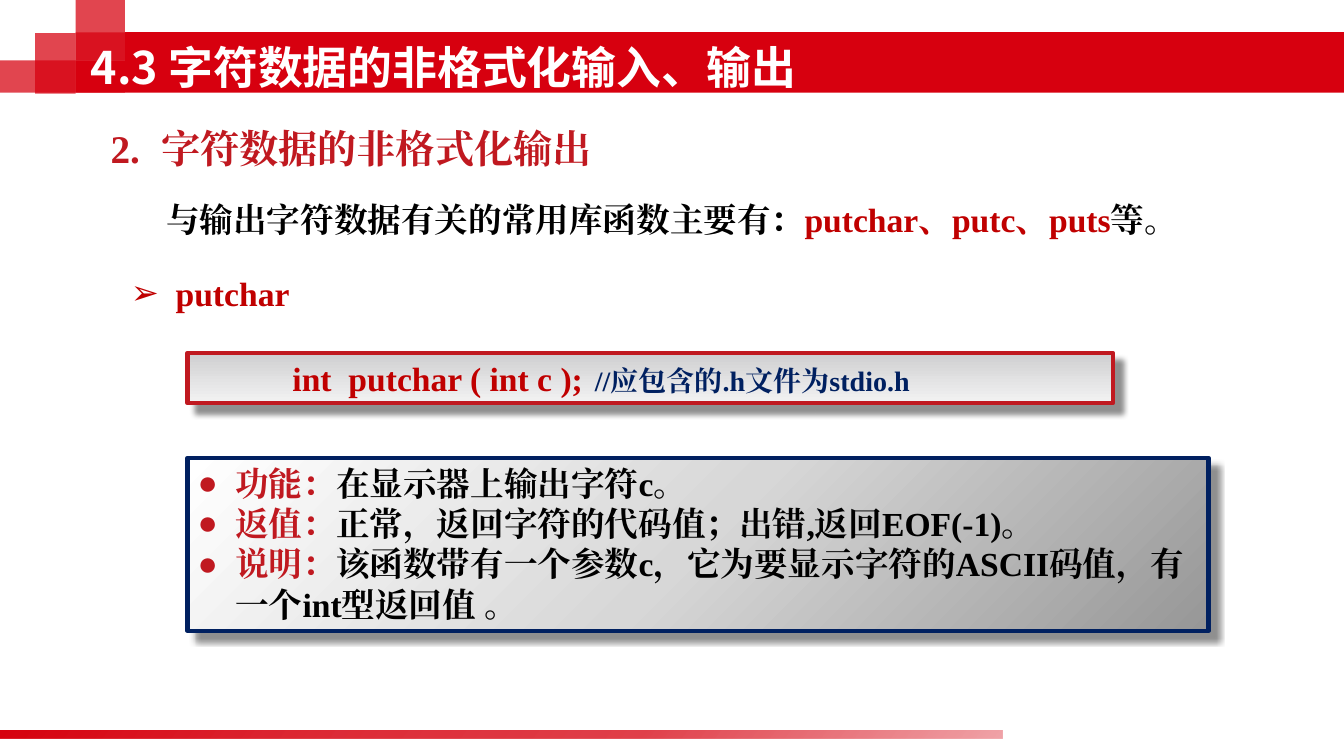
from dataclasses import dataclass
from typing import Optional

from lxml import etree
from pptx import Presentation
from pptx.dml.color import RGBColor
from pptx.enum.shapes import MSO_SHAPE
from pptx.enum.text import MSO_ANCHOR, MSO_AUTO_SIZE, PP_ALIGN
from pptx.oxml.ns import qn
from pptx.util import Pt

RECTANGLE = MSO_SHAPE.RECTANGLE
TOP, MIDDLE = MSO_ANCHOR.TOP, MSO_ANCHOR.MIDDLE
LEFT = PP_ALIGN.LEFT
NO_AUTOFIT = MSO_AUTO_SIZE.NONE
SERIF, SANS = "Times New Roman", "Noto Sans CJK SC"
COLORS = {
    "banner": "D7000F", "heading": "C01920", "code": "C00000", "navy": "002060",
    "black": "000000", "white": "FFFFFF", "silver": "CFCFD1", "mist": "F2F2F2",
    "gray": "979797", "light": "D7D7D7",
}


@dataclass(frozen=True)
class Box:
    left: float
    top: float
    width: float
    height: float


@dataclass(frozen=True)
class Span:
    text: str
    color: str
    size: float = 24
    font: str = SERIF


@dataclass(frozen=True)
class Line:
    spans: tuple[Span, ...]
    indent: float = 0
    bullet: str = ""
    tab: Optional[float] = None


@dataclass(frozen=True)
class Stop:
    position: int
    color: str
    alpha: int = 100


@dataclass(frozen=True)
class Panel:
    box: Box
    border: str
    stops: tuple[Stop, ...]
    angle: int


@dataclass(frozen=True)
class Label:
    box: Box
    line: Line
    anchor: MSO_ANCHOR = TOP


def item(name: str, text: str) -> Line:
    """Return one bulleted line of the function description."""
    return Line((Span(name, "heading"), Span(text, "black")), 27, "●")


BANNER = Box(89.28, 23.04, 870.72, 43.2)
CORNER = Box(54, 43.2, 35.28, 23.04)
TILES = (Box(0, 43.2, 89.28, 23.04), Box(25.2, 23.76, 28.8, 43.2),
         Box(54, -1.44, 35.28, 44.64), Box(54, 23.04, 35.28, 20.16))
FOOTER = Box(-1.44, 522, 717.84, 5.76)
FOOTER_STOPS = (Stop(0, "banner"), Stop(31, "banner", 84),
                Stop(64, "banner", 75), Stop(100, "banner", 36))
PROTOTYPE = Panel(Box(133.92, 252, 660.96, 36), "heading",
                  (Stop(0, "silver"), Stop(100, "mist")), 90)
DESCRIPTION = Panel(Box(133.92, 326.88, 729.36, 123.84), "navy",
                    (Stop(0, "gray"), Stop(50, "light"), Stop(100, "white")), 225)
TITLE_BOX = Box(57.6, 23.76, 640.8, 48.24)
TITLE = Line((Span("4.3 字符数据的非格式化输入、输出", "white", 32, SANS),))
PROTOTYPE_LINE = Line((Span("int  putchar ( int c );\t", "code"),
                       Span("//应包含的.h文件为stdio.h", "navy", 20)), tab=268)
DETAILS = (
    item("功能：", "在显示器上输出字符c。"),
    item("返值：", "正常，返回字符的代码值；出错,返回EOF(-1)。"),
    item("说明：", "该函数带有一个参数c，它为要显示字符的ASCII码值，有一个int型返回值 。"),
)
LABELS = (
    Label(Box(72, 84.96, 367.2, 41.04),
          Line((Span("2.\t字符数据的非格式化输出", "heading", 28),), tab=41.5)),
    Label(Box(111.6, 138.24, 812.16, 36),
          Line((Span("与输出字符数据有关的常用库函数主要有：", "black"),
                Span("putchar、putc、puts", "code"), Span("等。", "black"))), MIDDLE),
    Label(Box(86.4, 191.52, 378.72, 36), Line((Span("putchar", "code"),), 32, "➢")),
)


def place(shape, box: Box) -> None:
    """Move and size a shape."""
    shape.left, shape.top = Pt(box.left), Pt(box.top)
    shape.width, shape.height = Pt(box.width), Pt(box.height)


def add_color(parent, color: str, alpha: int = 100) -> None:
    """Append a colour with its opacity to an XML element."""
    element = etree.SubElement(parent, qn("a:srgbClr"), val=COLORS[color])
    if alpha < 100:
        etree.SubElement(element, qn("a:alpha"), val=str(alpha * 1000))


def set_gradient(shape, stops: tuple[Stop, ...], angle: int) -> None:
    """Fill a shape with a linear gradient."""
    shape.fill.gradient()
    gradient = shape.element.spPr.find(qn("a:gradFill"))
    for child in list(gradient):
        gradient.remove(child)
    stop_list = etree.SubElement(gradient, qn("a:gsLst"))
    for stop in stops:
        element = etree.SubElement(stop_list, qn("a:gs"), pos=str(stop.position * 1000))
        add_color(element, stop.color, stop.alpha)
    etree.SubElement(gradient, qn("a:lin"), ang=str(angle * 60000), scaled="0")


def add_rectangle(slide, box: Box, color: str = "banner", alpha: int = 100):
    """Draw a plain rectangle without outline or shadow."""
    shape = slide.shapes.add_shape(
        RECTANGLE, Pt(box.left), Pt(box.top), Pt(box.width), Pt(box.height))
    shape.shadow.inherit = False
    shape.line.fill.background()
    shape.fill.solid()
    shape.fill.fore_color.rgb = RGBColor.from_string(COLORS[color])
    if alpha < 100:
        solid = shape.element.spPr.find(qn("a:solidFill"))
        solid.clear()
        add_color(solid, color, alpha)
    return shape


def style_panel(shape, panel: Panel) -> None:
    """Give a shape the gradient, border and shadow of a panel."""
    place(shape, panel.box)
    set_gradient(shape, panel.stops, panel.angle)
    shape.line.color.rgb = RGBColor.from_string(COLORS[panel.border])
    shape.line.width = Pt(3)
    shape.shadow.inherit = False
    effects = shape.element.spPr.find(qn("a:effectLst"))
    shadow = etree.SubElement(
        effects, qn("a:outerShdw"), blurRad=str(Pt(4)), dist=str(Pt(8.4)),
        dir=str(45 * 60000), algn="tl", rotWithShape="0")
    add_color(shadow, "black", 43)


def write_line(paragraph, line: Line) -> None:
    """Write one paragraph run by run."""
    paragraph.alignment = LEFT
    paragraph.space_before = paragraph.space_after = Pt(0)
    properties = paragraph._p.get_or_add_pPr()
    properties.set("marL", str(Pt(line.indent)))
    properties.set("indent", str(Pt(-line.indent)))
    if line.bullet:
        add_color(etree.SubElement(properties, qn("a:buClr")), line.spans[0].color)
        etree.SubElement(properties, qn("a:buFont"), typeface="Arial")
        etree.SubElement(properties, qn("a:buChar"), char=line.bullet)
    else:
        etree.SubElement(properties, qn("a:buNone"))
    if line.tab is not None:
        tabs = etree.SubElement(properties, qn("a:tabLst"))
        etree.SubElement(tabs, qn("a:tab"), pos=str(Pt(line.tab)), algn="l")
    for span in line.spans:
        run = paragraph.add_run()
        run.text = span.text
        run.font.size, run.font.bold, run.font.name = Pt(span.size), True, span.font
        run.font.color.rgb = RGBColor.from_string(COLORS[span.color])
        etree.SubElement(run._r.get_or_add_rPr(), qn("a:ea"), typeface=span.font)


def write_text(shape, lines: tuple[Line, ...], anchor: MSO_ANCHOR = TOP) -> None:
    """Fill a shape with paragraphs."""
    frame = shape.text_frame
    frame.word_wrap, frame.auto_size, frame.vertical_anchor = True, NO_AUTOFIT, anchor
    for index, line in enumerate(lines):
        write_line(frame.add_paragraph() if index else frame.paragraphs[0], line)


def main() -> None:
    """Build and save the slide."""
    presentation = Presentation()
    presentation.slide_width, presentation.slide_height = Pt(960), Pt(540)
    slide = presentation.slides.add_slide(presentation.slide_layouts[1])
    for tile in TILES:
        add_rectangle(slide, tile, alpha=73)
    for block in (BANNER, CORNER):
        add_rectangle(slide, block)
    set_gradient(add_rectangle(slide, FOOTER), FOOTER_STOPS, 40)
    prototype = add_rectangle(slide, PROTOTYPE.box)
    style_panel(prototype, PROTOTYPE)
    write_text(prototype, (PROTOTYPE_LINE,))
    prototype.text_frame.margin_left = Pt(75)
    for label in LABELS:
        box = label.box
        shape = slide.shapes.add_textbox(
            Pt(box.left), Pt(box.top), Pt(box.width), Pt(box.height))
        write_text(shape, (label.line,), label.anchor)
    title, details = slide.shapes.title, slide.placeholders[1]
    style_panel(details, DESCRIPTION)
    write_text(details, DETAILS)
    place(title, TITLE_BOX)
    write_text(title, (TITLE,), MIDDLE)
    slide.shapes.element.append(title.element)
    presentation.save("out.pptx")


if __name__ == "__main__":
    main()
